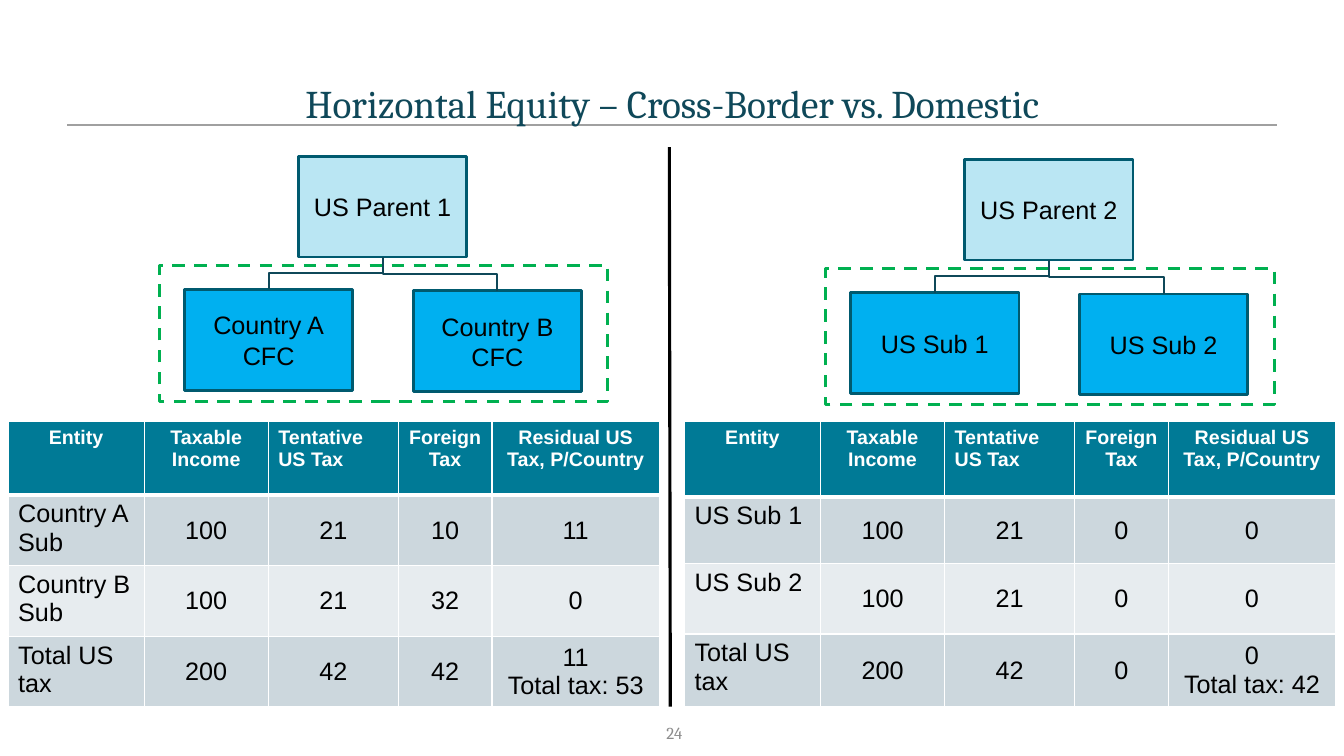
from dataclasses import dataclass

from lxml.etree import SubElement
from pptx import Presentation
from pptx.dml.color import RGBColor
from pptx.enum.dml import MSO_LINE
from pptx.enum.shapes import MSO_CONNECTOR, MSO_SHAPE
from pptx.enum.text import MSO_ANCHOR, PP_ALIGN
from pptx.oxml.ns import qn
from pptx.util import Pt


@dataclass(frozen=True)
class Theme:
    """Colours, fonts and type sizes of the slide."""
    title: str = "0F4859"
    rule: str = "A0A0A0"
    group: str = "00B050"
    parent: str = "BAE6F3"
    sub: str = "00B0F0"
    edge: str = "005A6F"
    header: str = "007A96"
    bands: tuple = ("CCD7DD", "E7ECEF")
    number: str = "8C8C8C"
    black: str = "000000"
    white: str = "FFFFFF"
    serif: str = "Cambria"
    sans: str = "Arial"
    title_size: int = 28
    body_size: int = 18
    header_size: int = 14
    number_size: int = 12


T = Theme()
HEADINGS = ("Entity", "Taxable Income", "Tentative US Tax", "Foreign Tax",
            "Residual US Tax, P/Country")
COL_WIDTHS = (97.2, 88.6, 92.9, 67, 119.5)
NODE_W, NODE_H = 120.2, 72


def rgb(color):
    """Return the colour object for a hex code."""
    return RGBColor.from_string(color)


def style_text(tf, size, color, align, font=T.sans, bold=False):
    """Format every paragraph and run of a text frame."""
    for p in tf.paragraphs:
        p.alignment = align
        for r in p.runs:
            r.font.name, r.font.size, r.font.bold = font, Pt(size), bold
            r.font.color.rgb = rgb(color)


def add_label(s, box, text, size, color, align):
    """Add a line of serif text centred vertically in its box."""
    tf = s.shapes.add_textbox(*map(Pt, box)).text_frame
    tf.word_wrap = True
    tf.vertical_anchor = MSO_ANCHOR.MIDDLE
    tf.margin_right = 0 if align == PP_ALIGN.RIGHT else tf.margin_right
    tf.text = text
    style_text(tf, size, color, align, T.serif)


def add_rect(s, box, fill, line, width):
    """Add a flat rectangle."""
    sp = s.shapes.add_shape(MSO_SHAPE.RECTANGLE, *map(Pt, box))
    sp.shadow.inherit = False
    sp.fill.solid()
    sp.fill.fore_color.rgb = rgb(fill)
    sp.line.color.rgb = rgb(line)
    sp.line.width = Pt(width)
    return sp


def add_node(s, left, top, text, fill):
    """Add a company box with its name."""
    sp = add_rect(s, (left, top, NODE_W, NODE_H), fill, T.edge, 2)
    tf = sp.text_frame
    tf.word_wrap = True
    tf.vertical_anchor = MSO_ANCHOR.MIDDLE
    tf.text = text
    style_text(tf, T.body_size, T.black, PP_ALIGN.CENTER)
    return sp


def add_line(s, ends, color, width, kind=MSO_CONNECTOR.STRAIGHT):
    """Add a connector without a shadow."""
    cxn = s.shapes.add_connector(kind, *map(Pt, ends))
    cxn.line.color.rgb = rgb(color)
    cxn.line.width = Pt(width)
    SubElement(cxn._element.spPr, qn("a:effectLst"))
    return cxn


def add_branch(s, parent, child):
    """Join the bottom of a parent to the top of a child by an elbow."""
    cxn = add_line(s, (0, 0, 0, 0), T.title, 1.5, MSO_CONNECTOR.ELBOW)
    cxn.begin_connect(parent, 2)
    cxn.end_connect(child, 0)
    x1, y1 = parent.left + parent.width // 2, parent.top + parent.height
    x2, y2 = child.left + child.width // 2, child.top
    run, drop = abs(x2 - x1), y2 - y1
    cxn.left, cxn.top = (x1 + x2 - drop) // 2, (y1 + y2 - run) // 2
    cxn.width, cxn.height = drop, run
    to_right = x2 > x1
    xfrm = cxn._element.spPr.find(qn("a:xfrm"))
    xfrm.set("rot", str((270 if to_right else 90) * 60000))
    xfrm.set("flipH", "1" if to_right else "0")
    xfrm.set("flipV", "0")


def add_structure(s, left, top, parent, subs):
    """Draw a parent over its two subsidiaries in a dashed frame."""
    frame = add_rect(s, (left, top + 78, 320.4, 97.2), T.white, T.group, 2.25)
    frame.line.dash_style = MSO_LINE.DASH
    head = add_node(s, left + 99.4, top, parent, T.parent)
    for i, name in enumerate(subs):
        sub = add_node(s, left + 18 + 163.4 * i, top + 95.2 + i, name, T.sub)
        add_branch(s, head, sub)


def style_cell(cell, row, col):
    """Give a cell its white borders, fill, anchor and type."""
    is_header = row == 0
    tc_pr = cell._tc.get_or_add_tcPr()
    for side in "LRTB":
        thick = (row, side) in ((0, "B"), (1, "T"))
        ln = SubElement(tc_pr, qn(f"a:ln{side}"), w=str(Pt(3 if thick else 1)))
        SubElement(SubElement(ln, qn("a:solidFill")), qn("a:srgbClr"), val=T.white)
    cell.fill.solid()
    cell.fill.fore_color.rgb = rgb(T.header if is_header else T.bands[(row - 1) % 2])
    if not is_header and col > 0:
        cell.vertical_anchor = MSO_ANCHOR.MIDDLE
    at_left = col == (2 if is_header else 0)
    style_text(cell.text_frame, T.header_size if is_header else T.body_size,
               T.white if is_header else T.black,
               PP_ALIGN.LEFT if at_left else PP_ALIGN.CENTER, bold=is_header)


def add_tax_table(s, left, top, heights, rows):
    """Add the tax computation table."""
    size = sum(COL_WIDTHS), sum(heights)
    tbl = s.shapes.add_table(len(heights), len(COL_WIDTHS),
                             *map(Pt, (left, top, *size))).table
    for col, width in zip(tbl.columns, COL_WIDTHS):
        col.width = Pt(width)
    for i, (height, texts) in enumerate(zip(heights, (HEADINGS, *rows))):
        tbl.rows[i].height = Pt(height)
        for j, text in enumerate(texts):
            cell = tbl.cell(i, j)
            cell.text = text
            style_cell(cell, i, j)


def add_heading(s, left, top, width):
    """Add the title and the rule beneath it."""
    add_line(s, (left, top + 39.6, left + width, top + 39.6), T.rule, 1)
    add_label(s, (left, top, width, 48.2),
              "Horizontal Equity – Cross-Border vs. Domestic",
              T.title_size, T.title, PP_ALIGN.CENTER)


def main():
    """Build the slide and save it."""
    prs = Presentation()
    prs.slide_width, prs.slide_height = Pt(960), Pt(540)
    s = prs.slides.add_slide(prs.slide_layouts[6])
    add_heading(s, 48.2, 49.7, 864)
    add_structure(s, 113.8, 111.6, "US Parent 1", ("Country A\nCFC", "Country B\nCFC"))
    add_structure(s, 589.7, 113.8, "US Parent 2", ("US Sub 1", "US Sub 2"))
    add_line(s, (478.1, 105.1, 478.8, 504.7), T.black, 2.25)
    add_tax_table(s, 5.8, 301, (52.6, 46.1, 49, 49), (
        ("Country A Sub", "100", "21", "10", "11"),
        ("Country B Sub", "100", "21", "32", "0"),
        ("Total US tax", "200", "42", "42", "11\nTotal tax: 53")))
    add_tax_table(s, 488.9, 301, (54, 47.5, 50.4, 51.8), (
        ("US Sub 1", "100", "21", "0", "0"),
        ("US Sub 2", "100", "21", "0", "0"),
        ("Total US tax", "200", "42", "0", "0\nTotal tax: 42")))
    add_label(s, (445.7, 517, 41.8, 12.2), "24", T.number_size, T.number, PP_ALIGN.RIGHT)
    prs.save("out.pptx")


if __name__ == "__main__":
    main()
